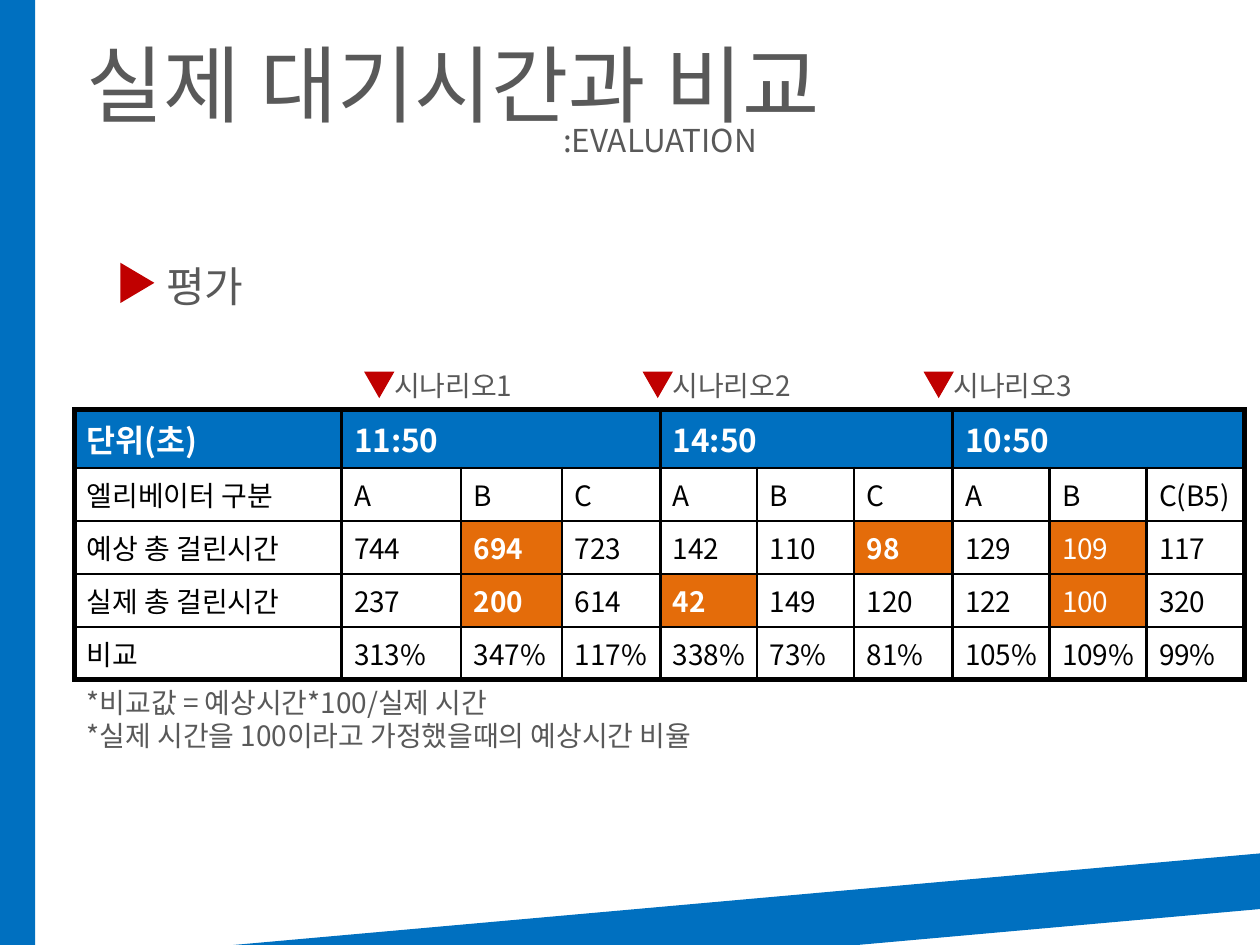
import dataclasses

import lxml.etree
import pptx
import pptx.dml.color
import pptx.enum.shapes
import pptx.enum.text
import pptx.oxml.ns
import pptx.util

Inches = pptx.util.Inches
Pt = pptx.util.Pt
SHAPE = pptx.enum.shapes.MSO_SHAPE


@dataclasses.dataclass(frozen=True)
class Theme:
    """Colours, typeface, type sizes and rule widths of the slide."""
    font: str = "Noto Sans CJK KR"
    blue: str = "0070C0"
    orange: str = "E46C0A"
    red: str = "C00000"
    grey: str = "595959"
    black: str = "000000"
    white: str = "FFFFFF"
    title: int = 48
    heading: int = 24
    subtitle: int = 18
    body: int = 16
    outer_rule: float = 3
    group_rule: float = 2.25
    inner_rule: float = 1.5


THEME = Theme()
COLUMN_WIDTHS = [2.12, 0.95, 0.8, 0.78, 0.77, 0.77, 0.78, 0.77, 0.77, 0.78]
ROW_HEIGHTS = [0.41, 0.37, 0.37, 0.37, 0.37]
CELL_MARGINS = {"margin_left": Inches(0.1), "margin_right": Inches(0.05)}
GROUP_STARTS = (1, 4, 7)
GROUP_SIZE = 3
WAIT_TIMES = [
    ["단위(초)", "11:50", "", "", "14:50", "", "", "10:50", "", ""],
    ["엘리베이터 구분", "A", "B", "C", "A", "B", "C", "A", "B", "C(B5)"],
    ["예상 총 걸린시간", "744", "694", "723", "142", "110", "98", "129", "109", "117"],
    ["실제 총 걸린시간", "237", "200", "614", "42", "149", "120", "122", "100", "320"],
    ["비교", "313%", "347%", "117%", "338%", "73%", "81%", "105%", "109%", "99%"],
]
HIGHLIGHT_BOLD = {(2, 2): True, (2, 6): True, (2, 8): False,
                  (3, 2): True, (3, 4): True, (3, 8): False}


def rgb(colour):
    """Turn a hex string into a colour value."""
    return pptx.dml.color.RGBColor.from_string(colour)


def apply_format(target, values):
    """Set each named attribute of the target."""
    for name, value in values.items():
        setattr(target, name, value)


def write_run(paragraph, wording, size, colour, bold=False):
    """Add a run in the theme typeface for Latin and Korean letters."""
    run = paragraph.add_run()
    run.text = wording
    apply_format(run.font, {"name": THEME.font, "size": Pt(size), "bold": bold})
    run.font.color.rgb = rgb(colour)
    lxml.etree.SubElement(run.font._element, pptx.oxml.ns.qn("a:ea"), typeface=THEME.font)


def add_label(slide, place, lines, size, wrap=True):
    """Add a grey text box with one paragraph per line."""
    frame = slide.shapes.add_textbox(*map(Inches, place)).text_frame
    apply_format(frame, {"word_wrap": wrap,
                         "auto_size": pptx.enum.text.MSO_AUTO_SIZE.SHAPE_TO_FIT_TEXT})
    for index, line in enumerate(lines):
        paragraph = frame.add_paragraph() if index else frame.paragraphs[0]
        write_run(paragraph, line, size, THEME.grey)


def add_block(slide, preset, place, colour, rotation=0):
    """Add a plain filled shape without outline or shadow."""
    block = slide.shapes.add_shape(preset, *map(Inches, place))
    block.fill.solid()
    block.fill.fore_color.rgb = rgb(colour)
    block.line.fill.background()
    block.shadow.inherit = False
    block.rotation = rotation


def rule_width(edge, last_edge, group_edges=()):
    """Choose the rule width for a grid edge."""
    if edge in (0, last_edge):
        return THEME.outer_rule
    return THEME.group_rule if edge in group_edges else THEME.inner_rule


def set_borders(cell, widths):
    """Draw the left, right, top and bottom rules of a cell."""
    qn = pptx.oxml.ns.qn
    properties = cell._tc.get_or_add_tcPr()
    for index, (side, width) in enumerate(zip("LRTB", widths)):
        rule = lxml.etree.Element(qn(f"a:ln{side}"), w=str(Pt(width)))
        paint = lxml.etree.SubElement(rule, qn("a:solidFill"))
        lxml.etree.SubElement(paint, qn("a:srgbClr"), val=THEME.black)
        properties.insert(index, rule)


def cell_style(row, column):
    """Return fill, text size, text colour and boldness for a cell."""
    if row == 0:
        return THEME.blue, THEME.subtitle, THEME.white, True
    if (row, column) in HIGHLIGHT_BOLD:
        return THEME.orange, THEME.body, THEME.white, HIGHLIGHT_BOLD[row, column]
    return THEME.white, THEME.body, THEME.black, False


def fill_cell(cell, row, column, wording):
    """Paint, rule and write one cell."""
    fill, size, colour, bold = cell_style(row, column)
    apply_format(cell, CELL_MARGINS)
    cell.fill.solid()
    cell.fill.fore_color.rgb = rgb(fill)
    right = column + (cell.span_width if cell.is_merge_origin else 1)
    set_borders(cell, [rule_width(edge, len(COLUMN_WIDTHS), GROUP_STARTS)
                       for edge in (column, right)]
                + [rule_width(edge, len(ROW_HEIGHTS)) for edge in (row, row + 1)])
    if wording:
        paragraph = cell.text_frame.paragraphs[0]
        paragraph.alignment = pptx.enum.text.PP_ALIGN.JUSTIFY
        write_run(paragraph, wording, size, colour, bold)


def add_wait_table(slide):
    """Add the table of expected and actual waiting times."""
    table = slide.shapes.add_table(
        len(ROW_HEIGHTS), len(COLUMN_WIDTHS), Inches(0.59), Inches(3.25),
        Inches(sum(COLUMN_WIDTHS)), Inches(sum(ROW_HEIGHTS))).table
    apply_format(table, {"first_row": False, "horz_banding": False})
    for column, width in zip(table.columns, COLUMN_WIDTHS):
        column.width = Inches(width)
    for row, height in zip(table.rows, ROW_HEIGHTS):
        row.height = Inches(height)
    for start in GROUP_STARTS:
        table.cell(0, start).merge(table.cell(0, start + GROUP_SIZE - 1))
    for row, wordings in enumerate(WAIT_TIMES):
        for column, wording in enumerate(wordings):
            fill_cell(table.cell(row, column), row, column, wording)


def add_scenario(slide, number, left):
    """Add a scenario label with its downward marker."""
    add_label(slide, (left + 0.14, 2.88, 1.97, 0.37), [f"시나리오{number}"], THEME.body)
    add_block(slide, SHAPE.ISOSCELES_TRIANGLE, (left, 2.95, 0.24, 0.21), THEME.red, 180)


def main():
    """Build and save the slide."""
    deck = pptx.Presentation()
    apply_format(deck, {"slide_width": Inches(10), "slide_height": Inches(7.5)})
    slide = deck.slides.add_slide(deck.slide_layouts[6])
    add_block(slide, SHAPE.RECTANGLE, (5.12, 2.32, 0.44, 10.18), THEME.blue, 84.9)
    add_block(slide, SHAPE.RECTANGLE, (0, 0, 0.28, 7.5), THEME.blue)
    add_wait_table(slide)
    add_label(slide, (0.59, 0.21, 7.32, 0.91), ["실제 대기시간과 비교"], THEME.title)
    add_label(slide, (4.37, 0.91, 2.91, 0.4), [":EVALUATION"], THEME.subtitle)
    add_block(slide, SHAPE.ISOSCELES_TRIANGLE, (0.93, 2.11, 0.32, 0.27), THEME.red, 90)
    add_label(slide, (1.22, 2.02, 5.79, 0.5), ["평가"], THEME.heading)
    for number, left in enumerate((2.89, 5.1, 7.33), start=1):
        add_scenario(slide, number, left)
    add_label(slide, (0.59, 5.39, 6.05, 0.71),
              ["*비교값 = 예상시간*100/실제 시간",
               "*실제 시간을 100이라고 가정했을때의 예상시간 비율"],
              THEME.body, wrap=False)
    deck.save("out.pptx")


if __name__ == "__main__":
    main()
